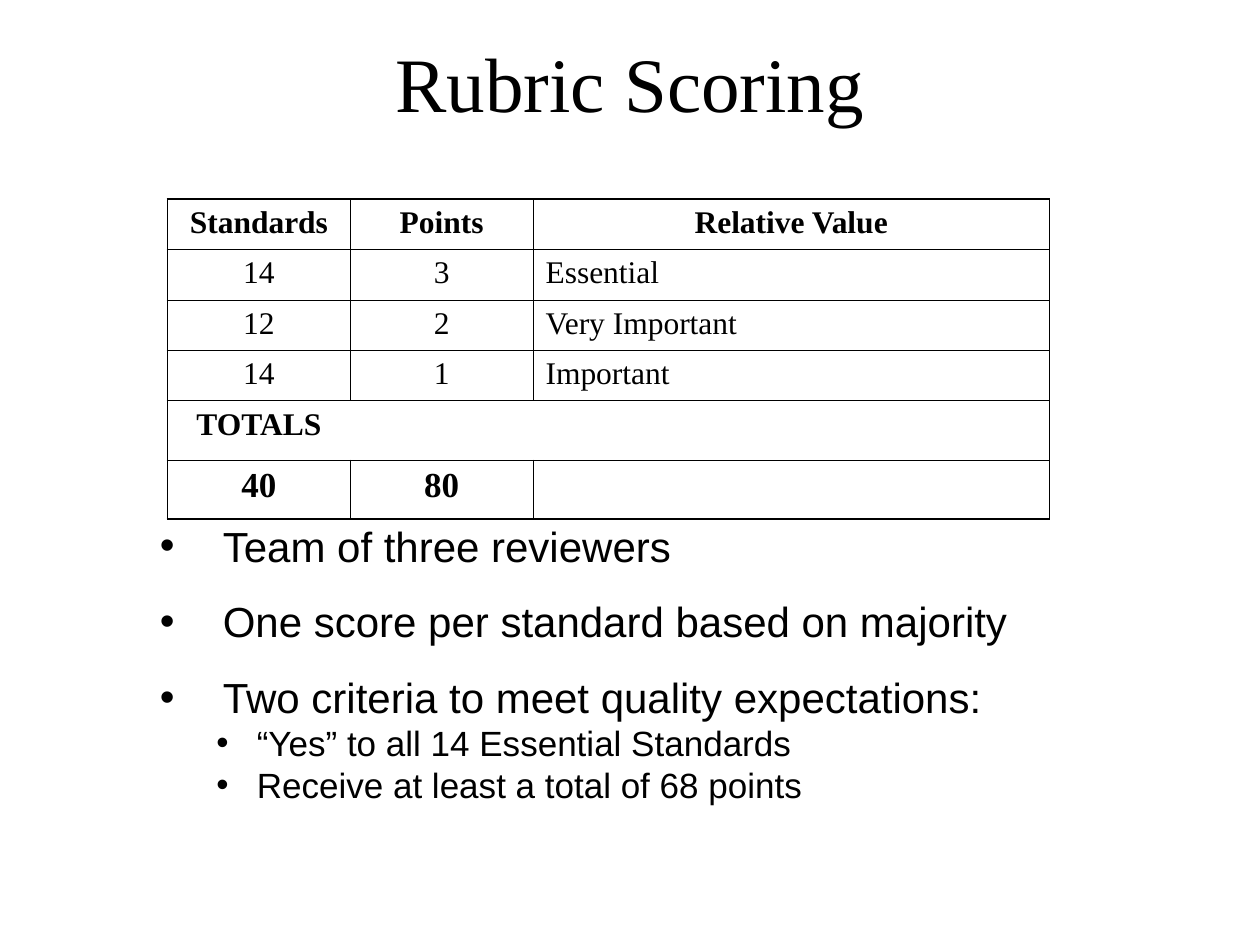
from lxml.etree import SubElement
from pptx import Presentation
from pptx.dml.color import RGBColor
from pptx.enum.text import MSO_ANCHOR, MSO_AUTO_SIZE, PP_ALIGN
from pptx.oxml import parse_xml
from pptx.oxml.ns import nsdecls, qn
from pptx.util import Inches, Pt

BLACK = "000000"
SERIF, SANS = "Times New Roman", "Arial"


def write(paragraph, text, size=18, font=SERIF, color=BLACK, bold=False,
          align=PP_ALIGN.LEFT, before=0, spacing=None):
    paragraph.alignment = align
    paragraph.space_before = Pt(before)
    paragraph.line_spacing = spacing
    run = paragraph.add_run()
    run.text = text
    run.font.size = Pt(size)
    run.font.name = font
    run.font.bold = bold
    run.font.color.rgb = RGBColor.from_string(color)


def border(side, width, color=BLACK):
    paint = f'<a:solidFill><a:srgbClr val="{color}"/></a:solidFill>' if width else "<a:noFill/>"
    return parse_xml(f'<a:ln{side} {nsdecls("a")} w="{Pt(width)}">{paint}</a:ln{side}>')


deck = Presentation()
deck.slide_width, deck.slide_height = Inches(10), Inches(7.5)
W, H = deck.slide_width, deck.slide_height
slide = deck.slides.add_slide(deck.slide_layouts[5])

title = slide.shapes.title
title.left, title.top = int(0.05 * W), Inches(0.17)
title.width, title.height = int(0.9 * W), Inches(0.95)
title.text_frame.vertical_anchor = MSO_ANCHOR.MIDDLE
title.text_frame.auto_size = MSO_AUTO_SIZE.NONE
write(title.text_frame.paragraphs[0], "Rubric Scoring", size=44, align=PP_ALIGN.CENTER)

scores = [
    ("Standards", "Points", "Relative Value"),
    ("14", "3", "Essential"),
    ("12", "2", "Very Important"),
    ("14", "1", "Important"),
    ("TOTALS", "", ""),
    ("40", "80", ""),
]
column_widths = [1.45, 1.45, 4.1]
row_heights = [0.4] * 4 + [0.47] * 2
HEADER, TOTALS, SUMS = 0, 4, 5
LAST_COLUMN = len(column_widths) - 1
OUTER, INNER = 1.08, 0.45

rubric = slide.shapes.add_table(
    len(scores), len(column_widths), Inches(1.33), Inches(1.58),
    Inches(sum(column_widths)), Inches(sum(row_heights))).table
rubric.first_row = rubric.horz_banding = False
for column, width in zip(rubric.columns, column_widths):
    column.width = Inches(width)
for row, height in zip(rubric.rows, row_heights):
    row.height = Inches(height)

for r, values in enumerate(scores):
    upright = 0 if r == TOTALS else INNER
    for c, value in enumerate(values):
        cell = rubric.cell(r, c)
        cell.fill.background()
        if value:
            centred = r in (HEADER, TOTALS, SUMS) or c < LAST_COLUMN
            write(cell.text_frame.paragraphs[0], value,
                  size=20 if r == SUMS else 18,
                  bold=r in (HEADER, TOTALS, SUMS),
                  align=PP_ALIGN.CENTER if centred else PP_ALIGN.LEFT,
                  before=5 if r == SUMS else 4.5)
        sides = {
            "L": OUTER if c == 0 else upright,
            "R": OUTER if c == LAST_COLUMN else upright,
            "T": OUTER if r == HEADER else INNER,
            "B": OUTER if r == SUMS else INNER,
        }
        properties = cell._tc.get_or_add_tcPr()
        for position, (side, width) in enumerate(sides.items()):
            properties.insert(position, border(side, width))

notes = [
    (0, "Team of three reviewers"),
    (0, "One score per standard based on majority"),
    (0, "Two criteria to meet quality expectations:"),
    (1, "“Yes” to all 14 Essential Standards"),
    (1, "Receive at least a total of 68 points"),
]
sizes = [24, 20]
margins, hangs = [0.5, 0.77], [0.5, 0.32]

review = slide.shapes.add_textbox(Inches(1.17), Inches(4.08), Inches(7.67), Inches(2.37)).text_frame
review.word_wrap = True
for i, (level, text) in enumerate(notes):
    paragraph = review.add_paragraph() if i else review.paragraphs[0]
    paragraph.level = level
    write(paragraph, text, size=sizes[level], font=SANS,
          before=14.4 if i and level == 0 else 0, spacing=Pt(1.2 * sizes[level]))
    layout = paragraph._p.get_or_add_pPr()
    layout.set("marL", str(Inches(margins[level])))
    layout.set("indent", str(-Inches(hangs[level])))
    SubElement(SubElement(layout, qn("a:buClr")), qn("a:srgbClr"), val=BLACK)
    SubElement(layout, qn("a:buFont"), typeface=SANS)
    SubElement(layout, qn("a:buChar"), char="•")

deck.save("out.pptx")
